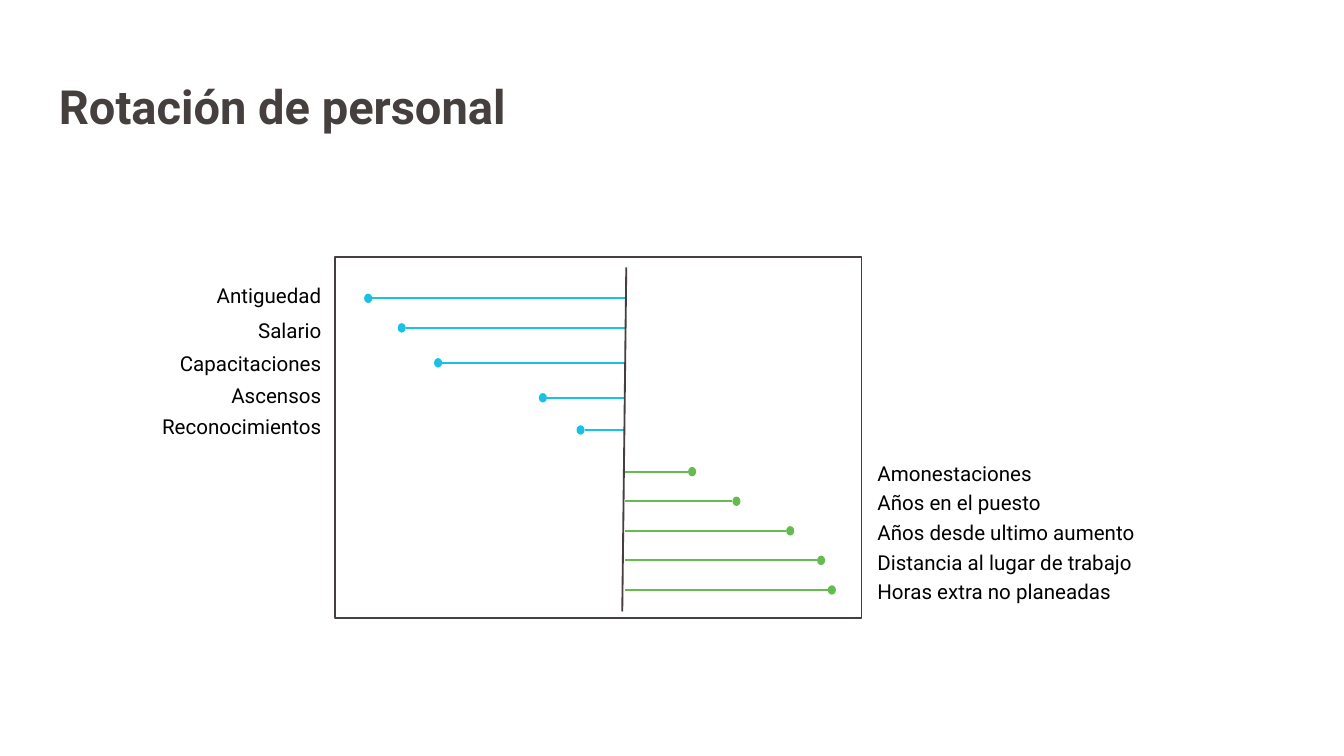
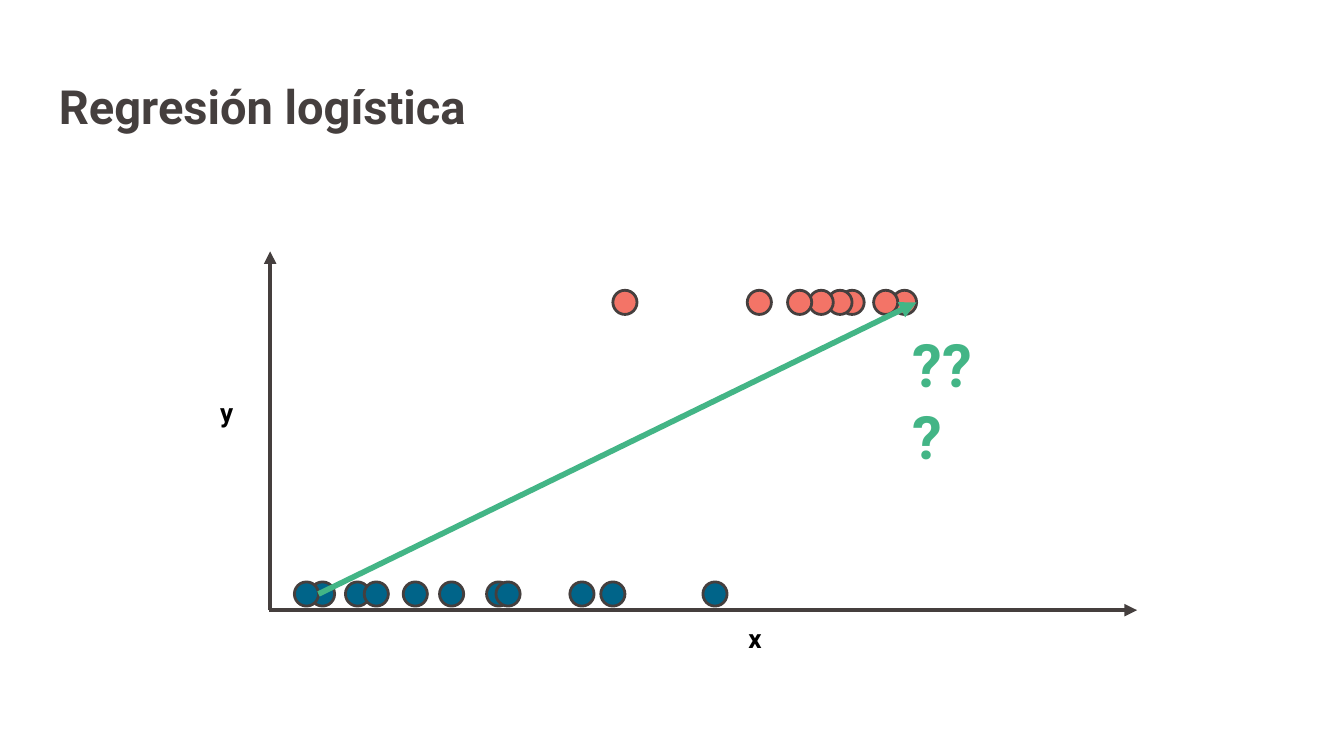
from lxml import etree
from pptx import Presentation
from pptx import util as u
from pptx.dml.color import RGBColor
from pptx.enum import shapes, text
from pptx.oxml import ns

Inches = u.Inches
SLIDE_WIDTH = 10
SLIDE_HEIGHT = SLIDE_WIDTH * 9 / 16
FONT = "Roboto"
DARK = "453F3E"
BLACK = "000000"
SKY = "18C1E5"
LEAF = "64BC50"
NAVY = "006489"
CORAL = "F37467"
MINT = "43B586"

NEGATIVE_FACTORS = [
    ("Antiguedad", 0.22, 0.31, 0.15),
    ("Salario", 0.47, 0.53, 0.41),
    ("Capacitaciones", 0.74, 0.79, 0.65),
    ("Ascensos", 1.52, 1.05, 0.89),
    ("Reconocimientos", 1.8, 1.29, 1.12),
]
POSITIVE_FACTORS = [
    ("Amonestaciones", 2.63),
    ("Años en el puesto", 2.96),
    ("Años desde ultimo aumento", 3.36),
    ("Distancia al lugar de trabajo", 3.59),
    ("Horas extra no planeadas", 3.67),
]
LOWER_POINTS = [0.3, 0.18, 0.56, 1.26, 0.99, 0.7, 2.23, 1.61, 1.68, 2.46, 3.22]
UPPER_POINTS = [4.24, 4.63, 4.49, 4.15, 4.01, 3.55, 3.85, 2.55]


def color(value):
    return RGBColor.from_string(value)


def add_text(slide, box, content, size, fill=BLACK, bold=False, align=text.PP_ALIGN.LEFT, inset=0.05):
    shape = slide.shapes.add_textbox(*map(Inches, box))
    frame = shape.text_frame
    frame.word_wrap = True
    frame.margin_left = frame.margin_right = Inches(0.1)
    frame.margin_top = frame.margin_bottom = Inches(inset)
    paragraph = frame.paragraphs[0]
    paragraph.text = content
    paragraph.alignment = align
    paragraph.font.name = FONT
    paragraph.font.size = u.Pt(size)
    paragraph.font.bold = bold
    paragraph.font.color.rgb = color(fill)


def add_figure(slide, kind, box, fill=None, line=None, weight=1):
    shape = slide.shapes.add_shape(kind, *map(Inches, box))
    shape.shadow.inherit = False
    if fill:
        shape.fill.solid()
        shape.fill.fore_color.rgb = color(fill)
    else:
        shape.fill.background()
    if line:
        shape.line.color.rgb = color(line)
        shape.line.width = u.Pt(weight)
    else:
        shape.line.fill.background()


def add_line(slide, start, end, stroke, weight=1, arrow=False):
    connector = slide.shapes.add_connector(
        shapes.MSO_CONNECTOR.STRAIGHT, *map(Inches, (*start, *end)))
    connector.line.color.rgb = color(stroke)
    connector.line.width = u.Pt(weight)
    if arrow:
        outline = connector._element.spPr.find(ns.qn("a:ln"))
        etree.SubElement(outline, ns.qn("a:tailEnd"), type="triangle")
    etree.SubElement(connector._element.spPr, ns.qn("a:effectLst"))


def add_titled_slide(presentation, title):
    slide = presentation.slides.add_slide(presentation.slide_layouts[6])
    add_text(slide, (0.34, 0.48, 9.32, 0.63), title, 25.2, DARK, bold=True, inset=0.1)
    return slide


def draw_factors(slide, left, top, width, height):
    dot_width, dot_height = 0.06, 0.07
    label_height = 0.29
    axis = left + 2.16
    add_figure(slide, shapes.MSO_SHAPE.RECTANGLE, (left, top, width, height), line=DARK)

    def draw_lollipop(dot_left, row, inner_edge, fill):
        add_line(slide, (axis, row), (inner_edge, row), fill)
        add_figure(slide, shapes.MSO_SHAPE.OVAL,
                   (dot_left, row - dot_height / 2, dot_width, dot_height), fill)

    for label, offset, row, label_top in NEGATIVE_FACTORS:
        dot_left = left + offset
        draw_lollipop(dot_left, top + row, dot_left + dot_width, SKY)
        add_text(slide, (left - 2.02, top + label_top, 2.02, label_height),
                 label, 11, align=text.PP_ALIGN.RIGHT)
    for index, (label, offset) in enumerate(POSITIVE_FACTORS):
        row = top + 1.6 + 0.22 * index
        draw_lollipop(left + offset, row, left + offset, LEAF)
        add_text(slide, (left + width + 0.02, row - 0.13, 2.77, label_height), label, 11)
    add_line(slide, (axis + 0.01, top + 0.08), (axis - 0.02, top + height - 0.05), DARK)


def draw_scatter(slide, left, top, width, height):
    base = top + height
    diameter = 0.18
    add_line(slide, (left, base), (left, top), DARK, 2.25, arrow=True)
    add_line(slide, (left - 0.01, base), (left + width, base), DARK, 2.25, arrow=True)
    for offsets, row, fill in ((LOWER_POINTS, base - 0.21, NAVY), (UPPER_POINTS, top + 0.29, CORAL)):
        for offset in offsets:
            add_figure(slide, shapes.MSO_SHAPE.OVAL,
                       (left + offset, row, diameter, diameter), fill, DARK, 1.5)
    add_line(slide, (left + 0.36, base - 0.12), (left + 4.81, top + 0.38), MINT, 3, arrow=True)
    add_text(slide, (left + 4.68, top + 0.52, 0.86, 0.64), "???", 32, MINT, bold=True)
    add_text(slide, (left + 3.46, base + 0.04, 0.28, 0.34), "x", 14, bold=True)
    add_text(slide, (left - 0.47, top + 1.03, 0.28, 0.34), "y", 14, bold=True)


def main():
    presentation = Presentation()
    presentation.slide_width = Inches(SLIDE_WIDTH)
    presentation.slide_height = Inches(SLIDE_HEIGHT)
    draw_factors(add_titled_slide(presentation, "Rotación de personal"), 2.49, 1.91, 3.92, 2.69)
    draw_scatter(add_titled_slide(presentation, "Regresión logística"), 2.01, 1.87, 6.45, 2.67)
    presentation.save("out.pptx")


if __name__ == "__main__":
    main()
